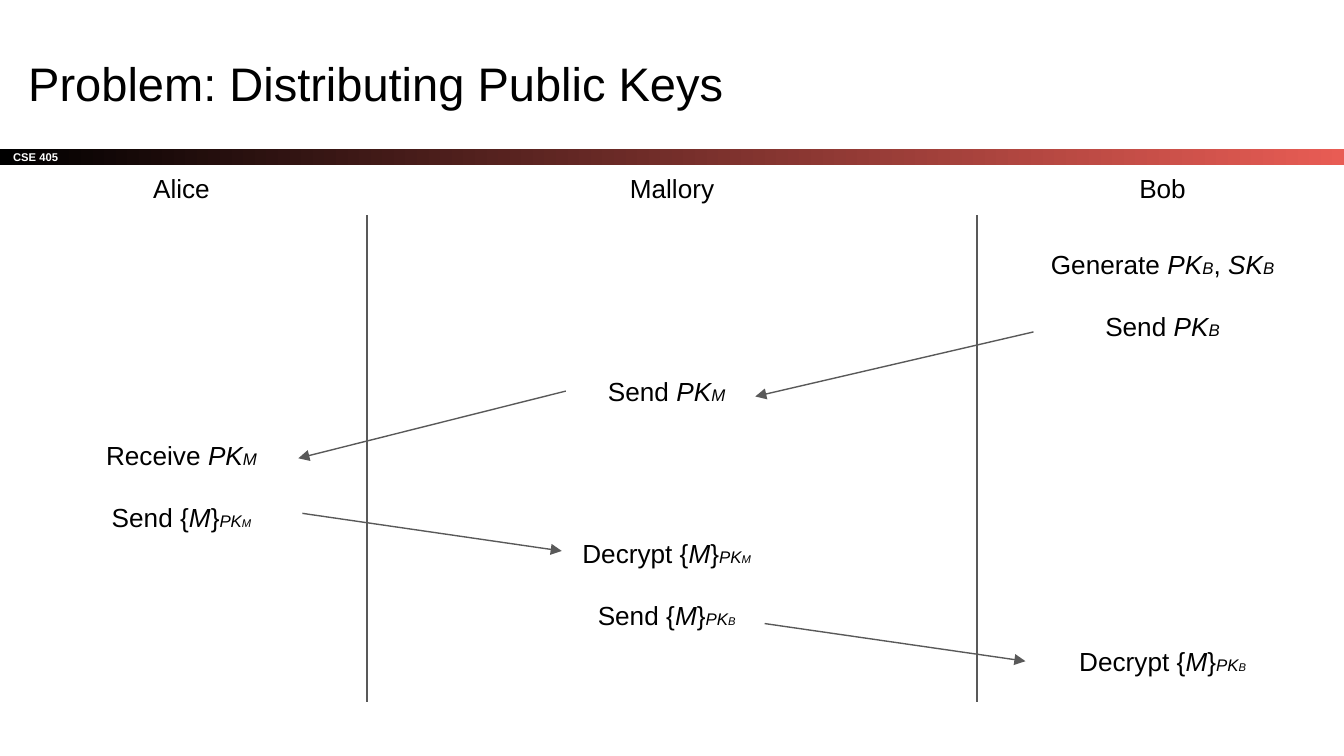
import pptx
import pptx.util
import pptx.dml.color
import pptx.enum.shapes
import pptx.enum.text
import pptx.oxml.ns
from lxml import etree
from pptx.util import Inches, Pt

COLORS = {"text": "000000", "line": "595959", "light": "FFFFFF", "accent": "E85C54"}
ALIGN = pptx.enum.text.PP_ALIGN
ANCHOR = pptx.enum.text.MSO_ANCHOR


def color(name):
    return pptx.dml.color.RGBColor.from_string(COLORS[name])


def style(run, size, name="text", bold=False, italic=False):
    font = run.font
    font.name = "Arial"
    font.size = Pt(size)
    font.bold = bold
    font.italic = italic
    font.color.rgb = color(name)


def frame(shape, anchor):
    text = shape.text_frame
    text.word_wrap = True
    text.auto_size = pptx.enum.text.MSO_AUTO_SIZE.NONE
    text.vertical_anchor = anchor
    text.margin_left = text.margin_right = Inches(0.1)
    text.margin_top = text.margin_bottom = Inches(0.1)
    return text


def add_title(slide, words):
    title = slide.shapes.title
    title.left, title.top = Inches(0.11), Inches(0.3)
    title.width, title.height = Inches(9.32), Inches(0.63)
    text = frame(title, ANCHOR.MIDDLE)
    text.text = words
    text.paragraphs[0].alignment = ALIGN.LEFT
    style(text.paragraphs[0].runs[0], 25.2)


def add_bar(slide, words):
    bar = slide.shapes.add_shape(
        pptx.enum.shapes.MSO_SHAPE.RECTANGLE,
        Inches(0), Inches(1.11), Inches(10), Inches(0.12))
    bar.shadow.inherit = False
    bar.line.fill.background()
    bar.fill.gradient()
    bar.fill.gradient_angle = 0
    for stop, spot, name in zip(bar.fill.gradient_stops, (0, 1), ("text", "accent")):
        stop.position = spot
        stop.color.rgb = color(name)
    text = frame(bar, ANCHOR.MIDDLE)
    text.text = words
    text.paragraphs[0].alignment = ALIGN.LEFT
    style(text.paragraphs[0].runs[0], 6, "light", bold=True)


def add_line(slide, start, end, arrow=False):
    line = slide.shapes.add_connector(
        pptx.enum.shapes.MSO_CONNECTOR.STRAIGHT,
        *[Inches(value) for value in start + end])
    line.line.color.rgb = color("line")
    line.line.width = Pt(0.75)
    if arrow:
        etree.SubElement(line.line._get_or_add_ln(),
                         pptx.oxml.ns.qn("a:tailEnd"), type="triangle")
    etree.SubElement(line._element.spPr, pptx.oxml.ns.qn("a:effectLst"))


def add_text(slide, center, top, width, steps):
    height = 0.44 if len(steps) == 1 else 0.91
    box = slide.shapes.add_textbox(
        Inches(center - width / 2), Inches(top), Inches(width), Inches(height))
    text = frame(box, ANCHOR.TOP)
    for index, step in enumerate(steps):
        para = text.paragraphs[0] if index == 0 else text.add_paragraph()
        para.alignment = ALIGN.CENTER
        if index:
            para.space_before = Pt(16.5)
        for words, size, italic in step:
            run = para.add_run()
            run.text = words
            style(run, size, italic=italic)


def plain(words):
    return [(words, 14, False)]


def key(kind, owner):
    return [(kind, 14, True), (owner, 9, True)]


def cipher(verb, owner):
    return [(verb + " {", 14, False), ("M", 14, True), ("}", 14, False),
            ("PK", 9, True), (owner, 6, True)]


def main():
    deck = pptx.Presentation()
    deck.slide_width = Inches(10)
    deck.slide_height = Inches(10 * 9 / 16)
    slide = deck.slides.add_slide(deck.slide_layouts[5])
    add_bar(slide, "CSE 405")
    add_title(slide, "Problem: Distributing Public Keys")

    for x in (2.73, 7.27):
        add_line(slide, (x, 1.6), (x, 5.22))

    alice, mallory, bob = 1.35, 5, 8.65
    for center, name in ((alice, "Alice"), (mallory, "Mallory"), (bob, "Bob")):
        add_text(slide, center, 1.18, 0.89, [plain(name)])

    middle = mallory - 0.04
    notes = [
        (bob, 1.75, [plain("Generate ") + key("PK", "B") + plain(", ") + key("SK", "B"),
                     plain("Send ") + key("PK", "B")]),
        (middle, 2.69, [plain("Send ") + key("PK", "M")]),
        (alice, 3.17, [plain("Receive ") + key("PK", "M"), cipher("Send", "M")]),
        (middle, 3.9, [cipher("Decrypt", "M"), cipher("Send", "B")]),
        (bob, 4.7, [cipher("Decrypt", "B")]),
    ]
    for center, top, steps in notes:
        add_text(slide, center, top, 2.12, steps)

    arrows = [
        ((7.69, 2.47), (5.62, 2.95)),
        ((4.21, 2.91), (2.22, 3.41)),
        ((2.25, 3.82), (4.18, 4.1)),
        ((5.69, 4.64), (7.63, 4.92)),
    ]
    for start, end in arrows:
        add_line(slide, start, end, arrow=True)

    deck.save("out.pptx")


if __name__ == "__main__":
    main()
